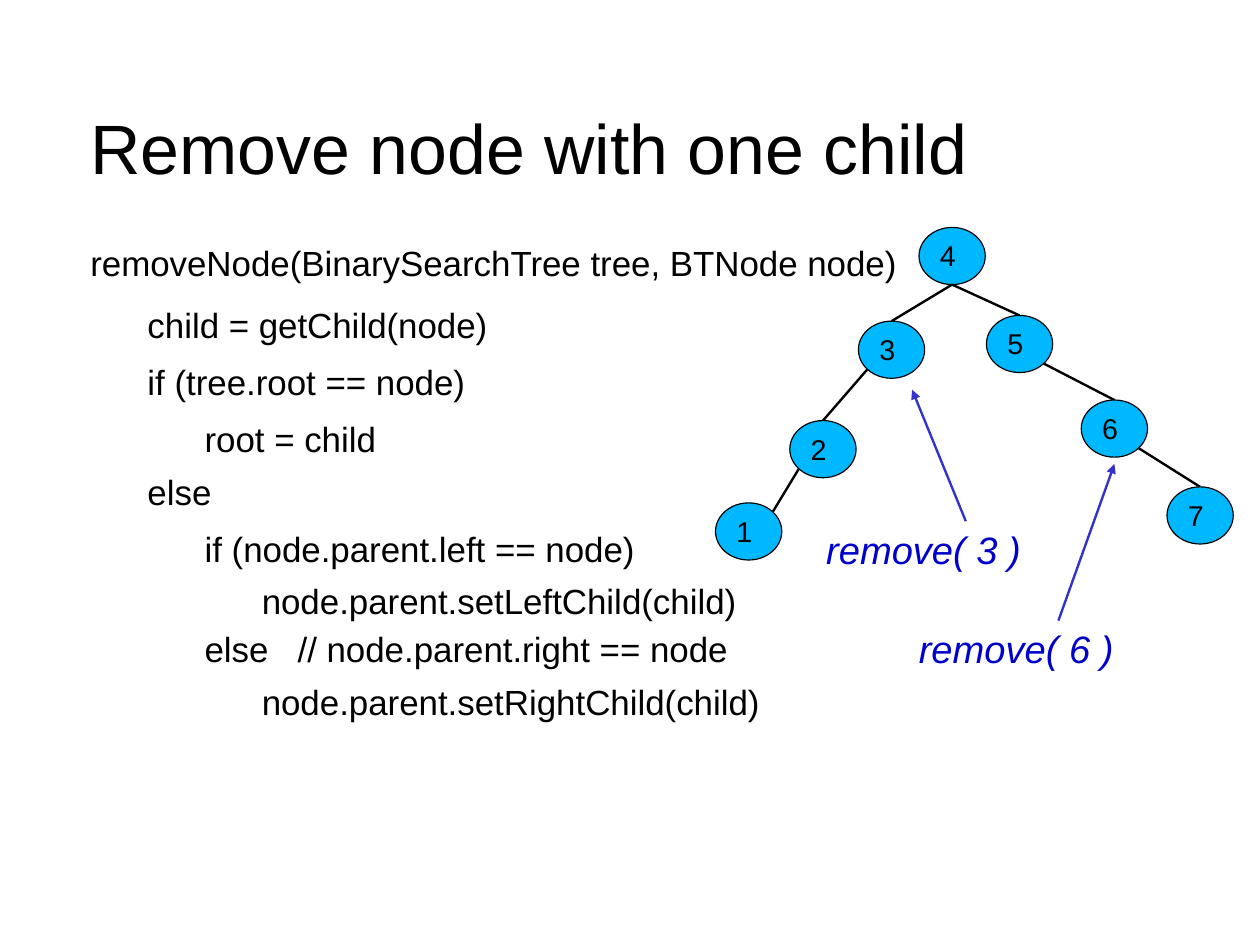
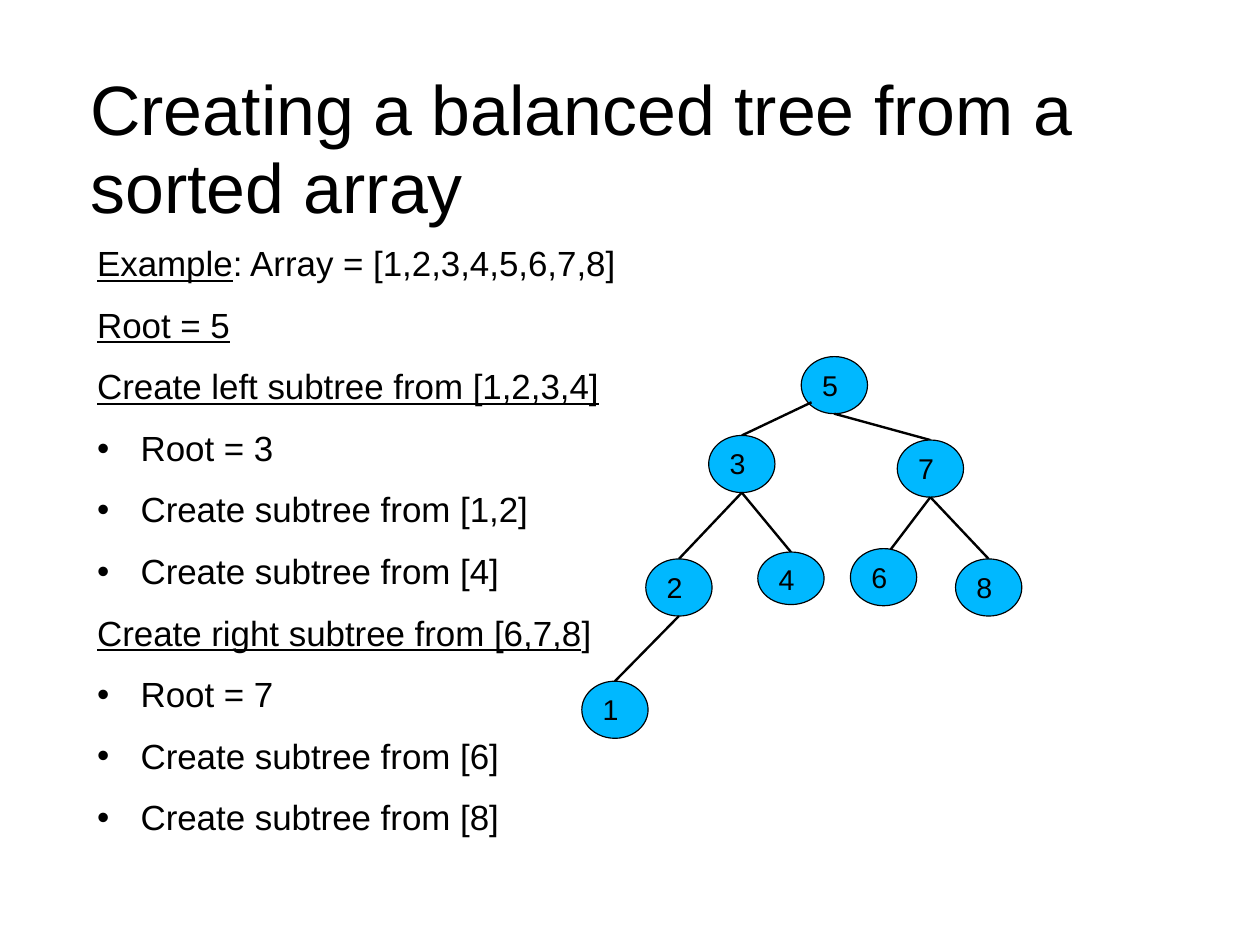
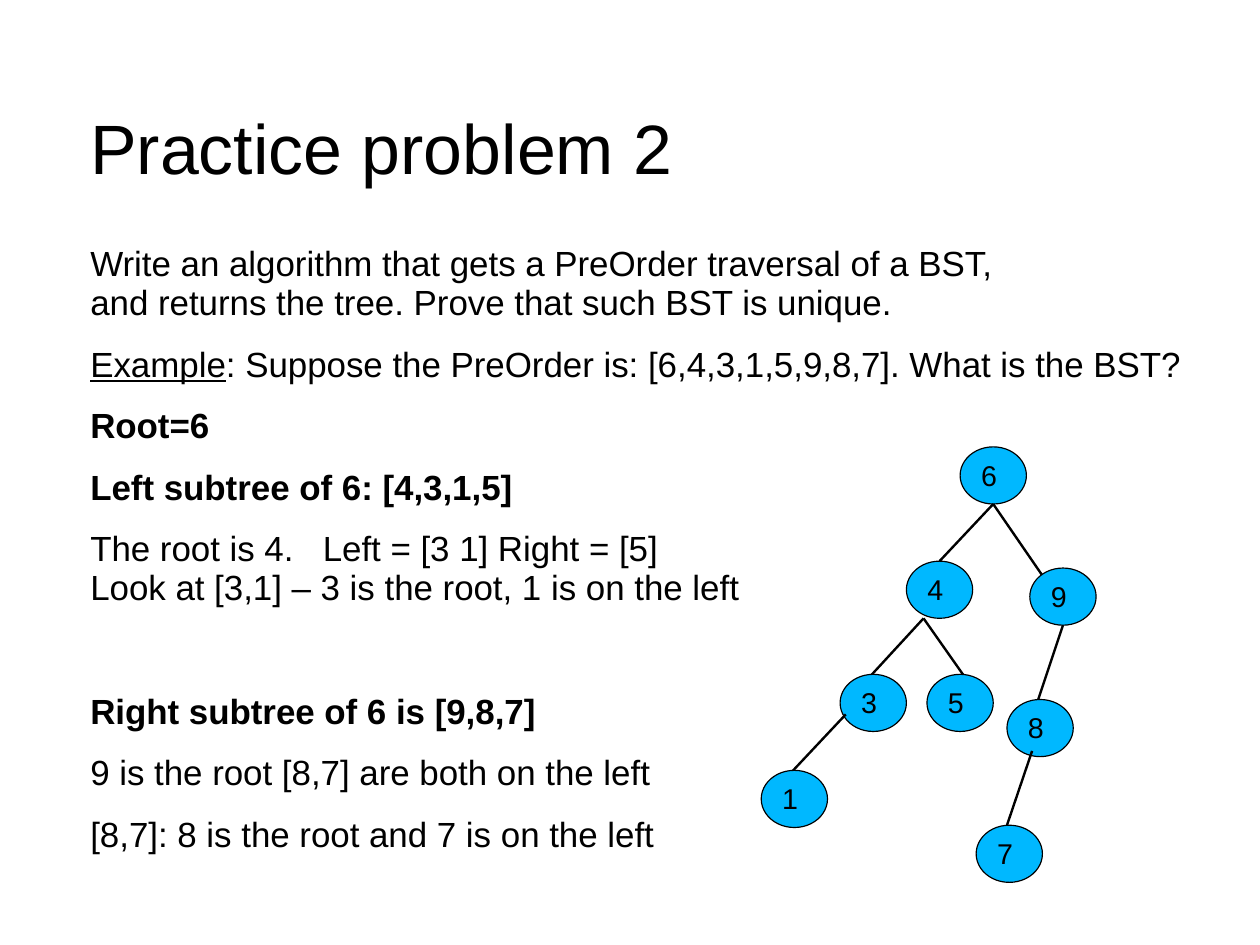
import dataclasses

import pptx
import pptx.dml.color
import pptx.enum.shapes
import pptx.enum.text
import pptx.oxml
import pptx.oxml.ns
import pptx.util
from lxml import etree

Inches = pptx.util.Inches
Pt = pptx.util.Pt
Shape = pptx.enum.shapes.MSO_SHAPE
Anchor = pptx.enum.text.MSO_ANCHOR
Fit = pptx.enum.text.MSO_AUTO_SIZE
Align = pptx.enum.text.PP_ALIGN
qn = pptx.oxml.ns.qn


@dataclasses.dataclass(frozen=True)
class Theme:
    font: str = "Arial"
    ink: str = "000000"
    paper: str = "FFFFFF"
    node: str = "00B8FF"
    arrow: str = "3333CC"
    call: str = "0000CC"
    head: int = 44
    body: int = 22
    label: int = 18
    note: int = 24
    lead: float = 0.93
    after: float = 14.2


# Points on a node, measured from its top left corner
WIDE, HIGH = 0.58, 0.5
N, NE = (0.29, 0), (0.5, 0.08)
S, SW, SE = (0.29, 0.5), (0.08, 0.42), (0.5, 0.42)


def color(code):
    return pptx.dml.color.RGBColor.from_string(code)


class Deck:
    def __init__(self, theme):
        self.theme = theme
        self.show = pptx.Presentation()
        # The page is metric: 28 by 21 centimetres
        self.show.slide_width = pptx.util.Cm(28)
        self.show.slide_height = pptx.util.Cm(21)
        back = self.show.slide_master.background.fill
        back.solid()
        back.fore_color.rgb = color(theme.paper)
        self.slide = None

    def place(self, holder, box, inset, anchor):
        holder.left, holder.top, holder.width, holder.height = map(Inches, box)
        frame = holder.text_frame
        frame.margin_left = frame.margin_right = frame.margin_bottom = 0
        frame.margin_top = Inches(inset)
        frame.vertical_anchor = anchor
        frame.word_wrap = True
        frame.auto_size = Fit.NONE
        return frame

    def style(self, para, size, ink=None, after=0):
        para.alignment = Align.LEFT
        para.line_spacing = self.theme.lead
        para.space_before = Pt(0)
        para.space_after = Pt(after)
        for run in para.runs:
            run.font.name = self.theme.font
            run.font.size = Pt(size)
            run.font.color.rgb = color(ink or self.theme.ink)

    def page(self, title):
        self.slide = self.show.slides.add_slide(self.show.slide_layouts[1])
        frame = self.place(self.slide.shapes.title, (0.79, 0.62, 9.25, 1.37),
                           0.04, Anchor.MIDDLE)
        frame.text = title
        self.style(frame.paragraphs[0], self.theme.head)

    def body(self, lines):
        frame = self.place(self.slide.placeholders[1], (0.79, 2.13, 9.68, 5.26),
                           0.02, Anchor.TOP)
        for index, line in enumerate(lines):
            para = frame.add_paragraph() if index else frame.paragraphs[0]
            self.line(para, **line)

    def line(self, para, parts, left=0, after=None, level=0, dot=False):
        """Parts are (text, marks): u underlined, b bold, w wide space."""
        for text, marks in parts:
            if text == "\n":
                para.add_line_break()
                etree.SubElement(para._p[-1], qn("a:rPr"),
                                 sz=str(self.theme.body * 100))
                continue
            run = para.add_run()
            run.text = text
            run.font.underline = "u" in marks
            run.font.bold = "b" in marks
            if "w" in marks:
                run.font._element.set("spc", "1220")
        para.level = level
        self.style(para, self.theme.body,
                   after=self.theme.after if after is None else after)
        props = para._p.get_or_add_pPr()
        props.set("marL", str(Inches(left)))
        props.set("indent", str(Inches(-0.38 if dot else 0)))
        if dot:
            tint = etree.SubElement(props, qn("a:buClr"))
            etree.SubElement(tint, qn("a:srgbClr"), val=self.theme.ink)
            etree.SubElement(props, qn("a:buChar"), char="•")
        else:
            etree.SubElement(props, qn("a:buNone"))

    def node(self, text, x, y, high=HIGH):
        oval = self.slide.shapes.add_shape(
            Shape.OVAL, Inches(x), Inches(y), Inches(WIDE), Inches(high))
        oval.shadow.inherit = False
        oval.fill.solid()
        oval.fill.fore_color.rgb = color(self.theme.node)
        oval.line.color.rgb = color(self.theme.ink)
        oval.line.width = Pt(0.75)
        frame = oval.text_frame
        frame.text = text
        frame.vertical_anchor = Anchor.TOP
        self.style(frame.paragraphs[0], self.theme.label)

    def edge(self, start, end, ink=None, arrow=False):
        link = self.slide.shapes.add_connector(
            pptx.enum.shapes.MSO_CONNECTOR.STRAIGHT,
            *map(Inches, (*start, *end)))
        link.line.color.rgb = color(ink or self.theme.ink)
        link.line.width = Pt(1.5)
        if arrow:
            etree.SubElement(link.line._get_or_add_ln(), qn("a:tailEnd"),
                             type="triangle")
        etree.SubElement(link._element.spPr, qn("a:effectLst"))

    def tree(self, root, x, y, kids):
        """Each kid: text, x, y, parent, start on parent, end on kid, height."""
        spots = {root: (x, y)}
        self.node(root, x, y)
        for text, x, y, parent, start, end, *high in kids:
            px, py = spots[parent]
            spots[text] = (x, y)
            self.edge((px + start[0], py + start[1]), (x + end[0], y + end[1]))
            self.node(text, x, y, *high)

    def call(self, text, x, y, start, end):
        self.edge(start, end, self.theme.arrow, arrow=True)
        box = self.slide.shapes.add_textbox(
            Inches(x), Inches(y), Inches(2.23), Inches(0.48))
        frame = box.text_frame
        frame.word_wrap = True
        frame.text = text
        para = frame.paragraphs[0]
        self.style(para, self.theme.note, self.theme.call)
        para.runs[0].font.italic = True


def plain(text, marks="", **more):
    return dict(parts=[(text, marks)], **more)


def code(level, *parts):
    return dict(parts=[(part, "w" if part == " " else "") for part in parts],
                left=level * 0.5, level=level,
                after=(14.2, 11.4, 8.5, 5.8)[level])


def head(text):
    return plain(text, "u", left=0.06)


def item(text):
    return plain(text, left=0.44, dot=True)


def removal(deck):
    deck.page("Remove node with one child")
    deck.body([
        code(0, "removeNode(BinarySearchTree tree, BTNode node)"),
        code(1, "child = getChild(node)"),
        code(1, "if (tree.root == node)"),
        code(2, "root = child"),
        code(1, "else"),
        code(2, "if (node.parent.left == node)"),
        code(3, "node.parent.setLeftChild(child)"),
        code(2, "else", " ", "// node.parent.right == node"),
        code(3, "node.parent.setRightChild(child)"),
    ])
    deck.tree("4", 8.04, 1.99, [
        ("5", 8.63, 2.76, "4", S, N),
        ("6", 9.46, 3.5, "5", SE, N),
        ("7", 10.21, 4.26, "6", SE, N),
        ("3", 7.51, 2.81, "4", S, N),
        ("2", 6.91, 3.68, "3", SW, N),
        ("1", 6.26, 4.4, "2", SW, NE),
    ])
    deck.call("remove( 3 )", 7.13, 4.59, (8.45, 4.56), (7.98, 3.41))
    deck.call("remove( 6 )", 7.94, 5.46, (9.26, 5.43), (9.75, 4.06))


def balance(deck):
    deck.page("Creating a balanced tree from a sorted array")
    deck.body([
        dict(parts=[("Example", "u"), (": Array = [1,2,3,4,5,6,7,8]", "")],
             left=0.06),
        head("Root = 5"),
        head("Create left subtree from [1,2,3,4]"),
        item("Root = 3"),
        item("Create subtree from [1,2]"),
        item("Create subtree from [4]"),
        dict(parts=[("Create right subtree from [6,7,8", "u"), ("]", "")],
             left=0.06),
        item("Root = 7"),
        item("Create subtree from [6]"),
        item("Create subtree from [8]"),
    ])
    deck.tree("5", 7.01, 3.12, [
        ("7", 7.85, 3.85, "5", S, N),
        ("8", 8.36, 4.89, "7", S, N),
        ("3", 6.2, 3.81, "5", (0.09, 0.4), N),
        ("2", 5.65, 4.89, "3", S, N),
        ("4", 6.63, 4.83, "3", S, N, 0.46),
        ("6", 7.44, 4.8, "7", S, (0.32, 0.05)),
        ("1", 5.09, 5.96, "2", S, N),
    ])


def practice(deck):
    deck.page("Practice problem 2")
    deck.body([
        dict(parts=[
            ("Write an algorithm that gets a PreOrder traversal of a BST,", ""),
            ("\n", ""),
            ("and returns the tree. Prove that such BST is unique.", "")]),
        dict(parts=[("Example", "u"), (": Suppose the PreOrder is: "
                    "[6,4,3,1,5,9,8,7]. What is the BST?", "")]),
        plain("Root=6", "b"),
        plain("Left subtree of 6: [4,3,1,5]", "b"),
        dict(parts=[
            ("The root is 4.", ""), (" ", "w"),
            ("Left = [3 1] Right = [5]", ""), ("\n", ""),
            ("Look at [3,1] – 3 is the root, 1 is on the left", "")],
            after=53),
        plain("Right subtree of 6 is [9,8,7]", "b"),
        plain("9 is the root [8,7] are both on the left"),
        plain("[8,7]: 8 is the root and 7 is on the left"),
    ])
    deck.tree("6", 8.4, 3.91, [
        ("4", 7.93, 4.91, "6", S, N),
        ("5", 8.11, 5.9, "4", (0.15, 0.5), (0.42, 0.15)),
        ("3", 7.35, 5.9, "4", (0.15, 0.5), (0.27, 0.01)),
        ("1", 6.66, 6.74, "3", (0.05, 0.35), (0.27, 0.01)),
        ("9", 9.01, 4.97, "6", S, (0.12, 0.08)),
        ("8", 8.81, 6.12, "9", S, (0.27, 0.01)),
        ("7", 8.54, 7.22, "8", (0.22, 0.45), (0.27, 0)),
    ])


def main():
    deck = Deck(Theme())
    for build in (removal, balance, practice):
        build(deck)
    deck.show.save("out.pptx")


if __name__ == "__main__":
    main()
